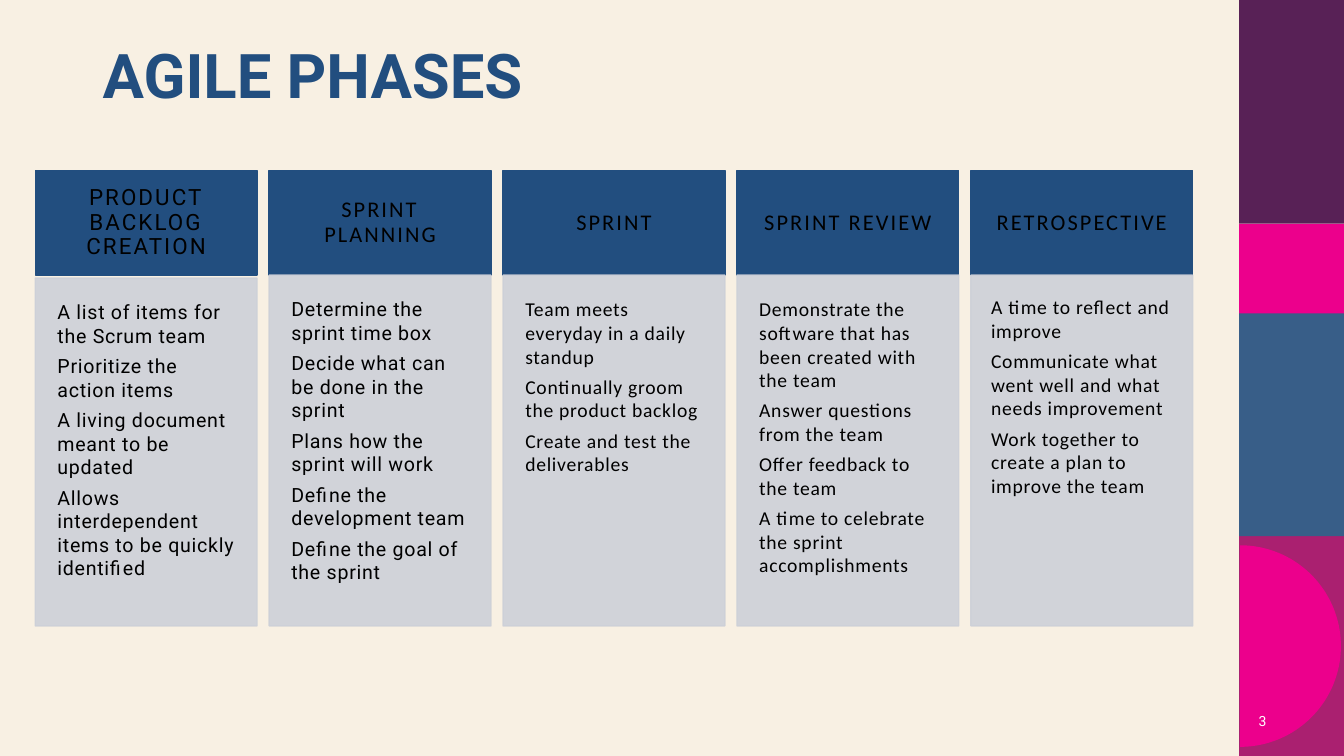
from math import cos, pi, sin

from lxml import etree
from pptx import Presentation
from pptx.dml.color import RGBColor
from pptx.enum.shapes import MSO_SHAPE
from pptx.enum.text import MSO_ANCHOR, PP_ALIGN
from pptx.oxml.ns import qn
from pptx.util import Inches, Pt

RECTANGLE = MSO_SHAPE.RECTANGLE
TOP, MIDDLE = MSO_ANCHOR.TOP, MSO_ANCHOR.MIDDLE
LEFT, CENTER, RIGHT = PP_ALIGN.LEFT, PP_ALIGN.CENTER, PP_ALIGN.RIGHT

CREAM = RGBColor(0xF8, 0xF0, 0xE3)
NAVY = RGBColor(0x22, 0x4E, 0x7F)
GRAY = RGBColor(0xCD, 0xD0, 0xD8)
BLACK = RGBColor(0x00, 0x00, 0x00)
WHITE = RGBColor(0xFF, 0xFF, 0xFF)
PLUM = RGBColor(0x58, 0x21, 0x56)
PINK = RGBColor(0xEC, 0x00, 0x8C)
BLUE = RGBColor(0x38, 0x5E, 0x88)
BERRY = RGBColor(0xAA, 0x20, 0x70)

ROBOTO, CALIBRI = "Roboto", "Calibri"

SIDEBAR = [
    (5.28, 2.22, BERRY),
    (3.1, 2.22, BLUE),
    (0, 2.22, PLUM),
    (2.22, 0.89, PINK),
]

PHASES = [
    ("PRODUCT BACKLOG CREATION", ROBOTO, ROBOTO, 2.76, 0.22, [
        "A list of items for the Scrum team",
        "Prioritize the action items",
        "A living document meant to be updated",
        "Allows interdependent items to be quickly identified",
    ]),
    ("SPRINT PLANNING", CALIBRI, ROBOTO, 2.73, 0.22, [
        "Determine the sprint time box",
        "Decide what can be done in the sprint",
        "Plans how the sprint will work",
        "Define the development team",
        "Define the goal of the sprint",
    ]),
    ("SPRINT", CALIBRI, CALIBRI, 2.73, 0.22, [
        "Team meets everyday in a daily standup",
        "Continually groom the product backlog",
        "Create and test the deliverables",
    ]),
    ("SPRINT REVIEW", CALIBRI, CALIBRI, 2.73, 0.22, [
        "Demonstrate the software that has been created with the team",
        "Answer questions from the team",
        "Offer feedback to the team",
        "A time to celebrate the sprint accomplishments",
    ]),
    ("RETROSPECTIVE", CALIBRI, CALIBRI, 2.73, 0.2, [
        "A time to reflect and improve",
        "Communicate what went well and what needs improvement",
        "Work together to create a plan to improve the team",
    ]),
]
FIRST_COLUMN, COLUMN_PITCH, COLUMN_WIDTH = 0.35, 2.32, 2.2
HEADER_TOP, HEADER_HEIGHT, BODY_BOTTOM = 1.69, 1.04, 6.21


class SlideBuilder:
    def __init__(self, presentation):
        self.slide = presentation.slides.add_slide(presentation.slide_layouts[6])
        self.slide.background.fill.solid()
        self.slide.background.fill.fore_color.rgb = CREAM

    def paint(self, shape, color, outlined=False, opacity=100):
        shape.shadow.inherit = False
        shape.fill.solid()
        shape.fill.fore_color.rgb = color
        if outlined:
            shape.line.color.rgb = color
            shape.line.width = Pt(1)
        else:
            shape.line.fill.background()
        if opacity < 100:
            for color_element in shape.element.spPr.iter(qn("a:srgbClr")):
                alpha = etree.SubElement(color_element, qn("a:alpha"))
                alpha.set("val", str(opacity * 1000))

    def box(self, left, top, width, height, color, outlined=False, opacity=100):
        shape = self.slide.shapes.add_shape(
            RECTANGLE, Inches(left), Inches(top), Inches(width), Inches(height))
        self.paint(shape, color, outlined, opacity)
        return shape

    def half_disc(self, left, center, radius, color, steps=90):
        angles = [pi * step / steps - pi / 2 for step in range(steps + 1)]
        points = [(Inches(left + radius * cos(angle)), Inches(center + radius * sin(angle)))
                  for angle in angles]
        builder = self.slide.shapes.build_freeform(*points[0])
        builder.add_line_segments(points[1:], close=True)
        self.paint(builder.convert_to_shape(), color)

    def set_text(self, shape, lines, font, size, color, align=LEFT, anchor=TOP, inset=None,
                 line_spacing=1.0, space_after=0, tracking=0, bold=False):
        frame = shape.text_frame
        frame.word_wrap = True
        frame.vertical_anchor = anchor
        if inset is not None:
            frame.margin_left = frame.margin_right = Inches(inset)
            frame.margin_top = frame.margin_bottom = Inches(inset)
        frame.text = "\n".join(lines)
        for paragraph in frame.paragraphs:
            paragraph.alignment = align
            paragraph.line_spacing = line_spacing
            paragraph.space_after = Pt(space_after)
            for run in paragraph.runs:
                run.font.name = font
                run.font.size = Pt(size)
                run.font.bold = bold
                run.font.color.rgb = color
                if tracking:
                    run._r.get_or_add_rPr().set("spc", str(int(tracking * 100)))

    def label(self, left, top, width, height, text, size, color, **style):
        shape = self.slide.shapes.add_textbox(
            Inches(left), Inches(top), Inches(width), Inches(height))
        self.set_text(shape, [text], ROBOTO, size, color, **style)

    def phase(self, left, heading, heading_font, body_font, body_top, inset, items):
        header = self.box(left, HEADER_TOP, COLUMN_WIDTH, HEADER_HEIGHT, NAVY, outlined=True)
        self.set_text(header, [heading], heading_font, 16, BLACK, align=CENTER, anchor=MIDDLE,
                      inset=0.17, line_spacing=0.9, tracking=1.5)
        body = self.box(left, body_top, COLUMN_WIDTH, BODY_BOTTOM - body_top, GRAY,
                        outlined=True, opacity=90)
        self.set_text(body, items, body_font, 14, BLACK, inset=inset, space_after=4.9,
                      tracking=0.5)


def main():
    presentation = Presentation()
    presentation.slide_width = Inches(13.33)
    presentation.slide_height = Inches(7.5)
    builder = SlideBuilder(presentation)
    for top, height, color in SIDEBAR:
        builder.box(12.29, top, 1.04, height, color)
    builder.half_disc(12.3, 6.41, 1, PINK)
    builder.label(12.16, 6.95, 0.5, 0.4, "3", 10, WHITE, align=RIGHT, anchor=MIDDLE)
    builder.label(0.92, 0.4, 11.5, 1.45, "AGILE PHASES", 44, NAVY, line_spacing=0.9, bold=True)
    for column, phase in enumerate(PHASES):
        builder.phase(FIRST_COLUMN + column * COLUMN_PITCH, *phase)
    presentation.save("out.pptx")


if __name__ == "__main__":
    main()
